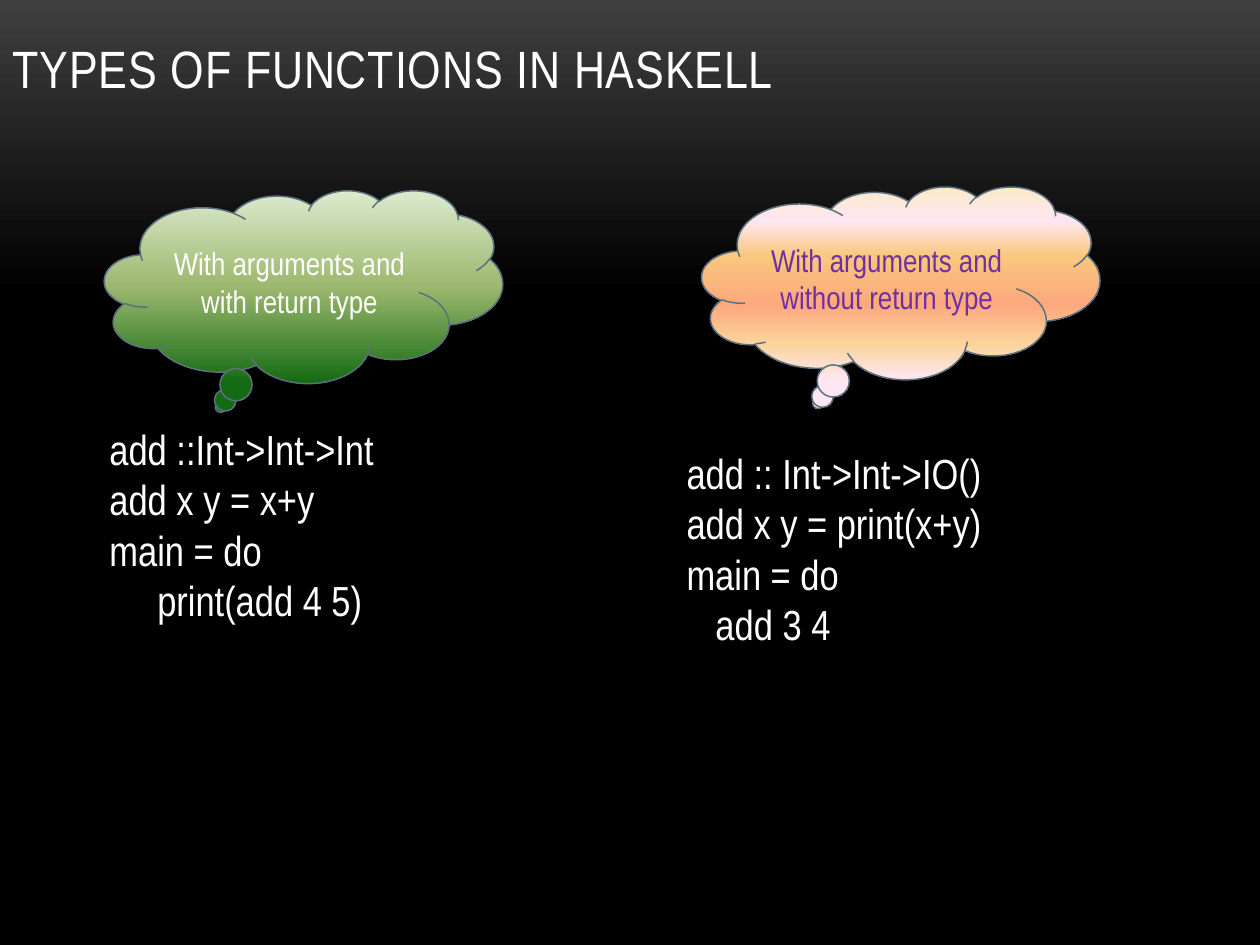
"""Build a slide on two types of functions in Haskell."""
from lxml.etree import SubElement
from pptx import Presentation
from pptx.dml.color import RGBColor
from pptx.enum.shapes import MSO_SHAPE as Shape
from pptx.enum.text import MSO_ANCHOR as Anchor, MSO_AUTO_SIZE as Fit, PP_ALIGN as Align
from pptx.oxml.ns import qn
from pptx.util import Inches, Pt

FONT = "Arial Narrow"
WHITE = RGBColor(0xFF, 0xFF, 0xFF)
PURPLE = RGBColor(0x70, 0x30, 0xA0)
SLATE = RGBColor(0x5D, 0x70, 0x80)
BLACK = RGBColor(0, 0, 0)
GRAY = RGBColor(0x3F, 0x3F, 0x3F)
PINK = RGBColor(0xFE, 0xE7, 0xF2)

NIGHT = [(0, GRAY), (31, BLACK), (100, BLACK)]
GREEN = [
    (0, RGBColor(0xDD, 0xEB, 0xCF)),
    (50, RGBColor(0x9C, 0xB8, 0x6E)),
    (100, RGBColor(0x15, 0x6B, 0x13)),
]
PEACH = [
    (0, RGBColor(0xFB, 0xEA, 0xC7)),
    (18, PINK),
    (36, RGBColor(0xFA, 0xC7, 0x7D)),
    (61, RGBColor(0xFB, 0xA9, 0x7D)),
    (82, RGBColor(0xFB, 0xD4, 0x9C)),
    (100, PINK),
]

TITLE = "TYPES OF FUNCTIONS IN HASKELL"
CLOUDS = [
    ("With arguments and with return type", 0.83, 1.51, GREEN, WHITE),
    ("With arguments and without return type", 5.57, 1.48, PEACH, PURPLE),
]
CODES = [
    (["add ::Int->Int->Int", "add x y = x+y", "main = do", "print(add 4 5)"],
     (0.77, 3.31, 2.89, 2.02), 0.38),
    (["add :: Int->Int->IO()", "add x y = print(x+y)", "main = do", "add 3 4"],
     (5.35, 3.5, 3.75, 2.02), 0.23),
]


def style(para, size, color, align=Align.LEFT):
    para.alignment = align
    para.font.name = FONT
    para.font.size = Pt(size)
    para.font.color.rgb = color


def shade(fill, root, stops):
    fill.gradient()
    fill.gradient_angle = 270
    group = root.xpath(".//a:gsLst")[0]
    for old in list(group):
        group.remove(old)
    for place, color in stops:
        stop = SubElement(group, qn("a:gs"), pos=str(place * 1000))
        SubElement(stop, qn("a:srgbClr"), val=str(color))


def add_title(slide):
    title = slide.shapes.title
    title.left, title.top, title.width, title.height = map(Inches, (0, 0.01, 8.67, 0.83))
    frame = title.text_frame
    frame.text = TITLE
    frame.auto_size = Fit.NONE
    frame.vertical_anchor = Anchor.BOTTOM
    para = frame.paragraphs[0]
    style(para, 30, WHITE)
    para.runs[0].font.bold = False
    para.runs[0].font._element.set("spc", "50")


def add_cloud(slide, text, left, top, stops, color):
    cloud = slide.shapes.add_shape(
        Shape.CLOUD_CALLOUT, *map(Inches, (left, top, 3.16, 1.53)))
    cloud.shadow.inherit = False
    shade(cloud.fill, cloud.element, stops)
    cloud.line.color.rgb = SLATE
    cloud.line.width = Pt(0.85)
    frame = cloud.text_frame
    frame.text = text
    frame.word_wrap = True
    frame.vertical_anchor = Anchor.MIDDLE
    style(frame.paragraphs[0], 18, color, Align.CENTER)


def add_code(slide, lines, place, indent):
    frame = slide.shapes.add_textbox(*map(Inches, place)).text_frame
    frame.word_wrap = True
    frame.auto_size = Fit.SHAPE_TO_FIT_TEXT
    frame.text = "\n".join(lines)
    for para in frame.paragraphs:
        style(para, 24, WHITE)
    props = frame.paragraphs[-1]._p.get_or_add_pPr()
    props.set("marL", str(Inches(indent)))


def main():
    deck = Presentation()
    deck.slide_width, deck.slide_height = Inches(10), Inches(7.5)
    slide = deck.slides.add_slide(deck.slide_layouts[5])
    shade(slide.background.fill, slide.element, NIGHT)
    add_title(slide)
    for code in CODES:
        add_code(slide, *code)
    for cloud in CLOUDS:
        add_cloud(slide, *cloud)
    deck.save("out.pptx")


if __name__ == "__main__":
    main()
